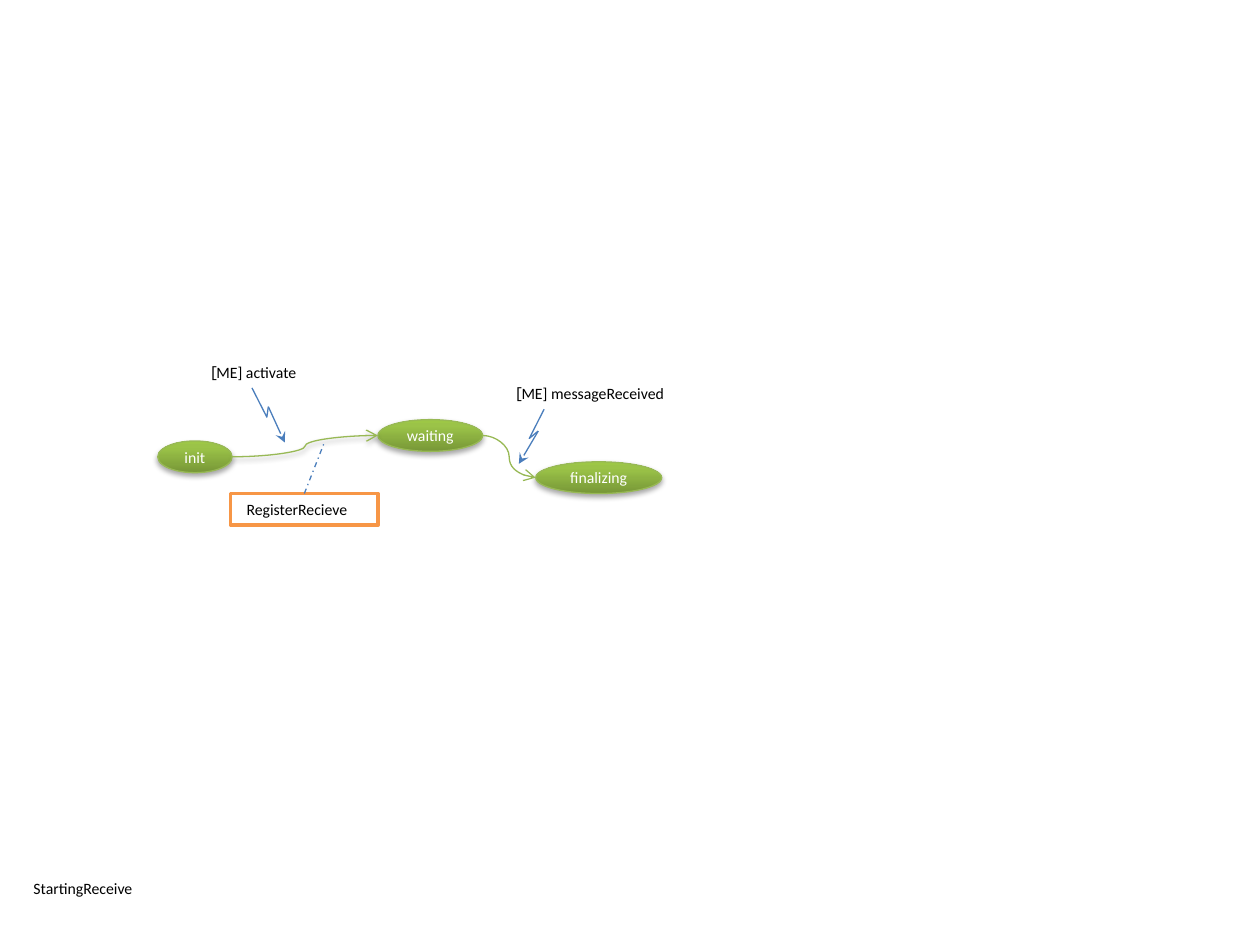
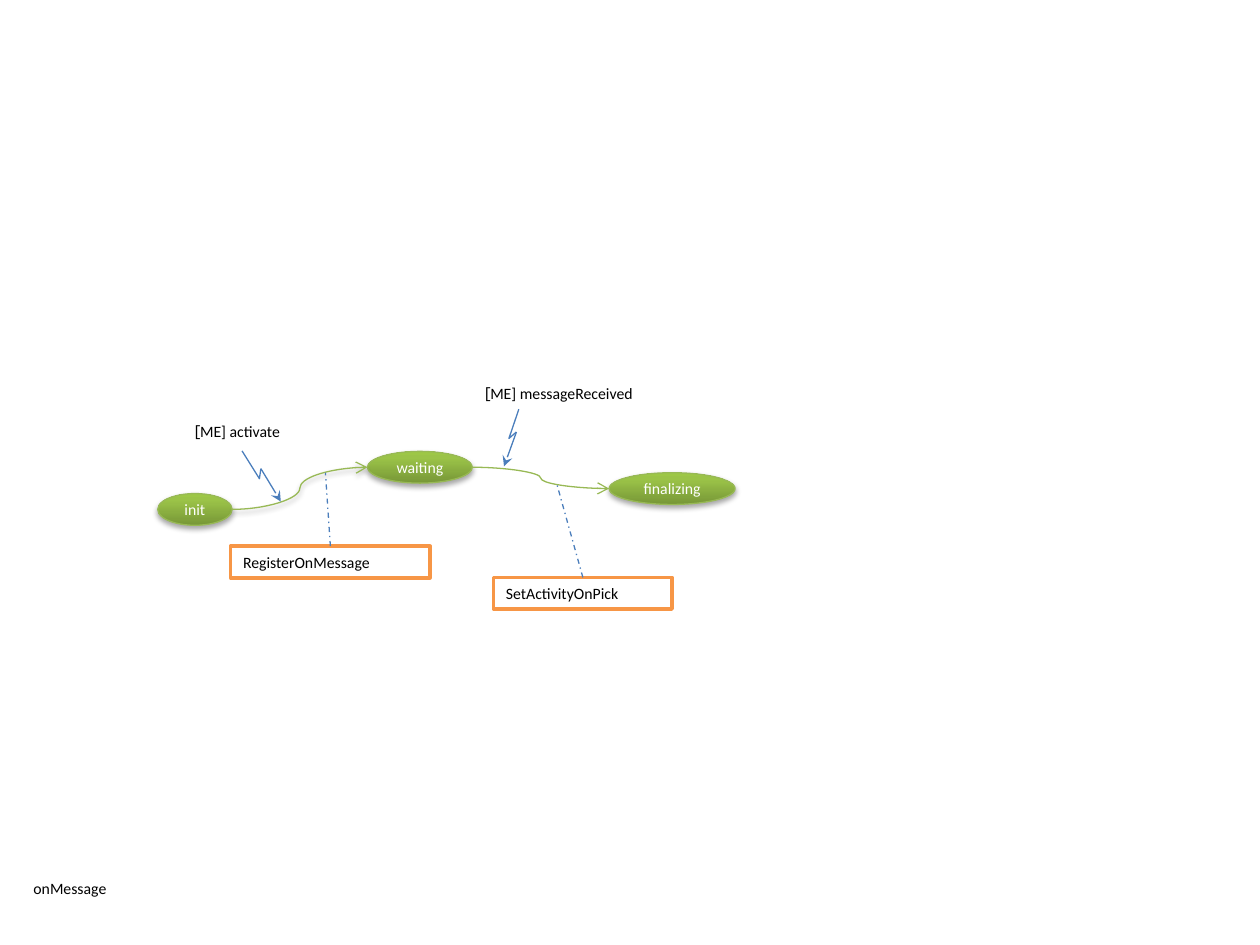
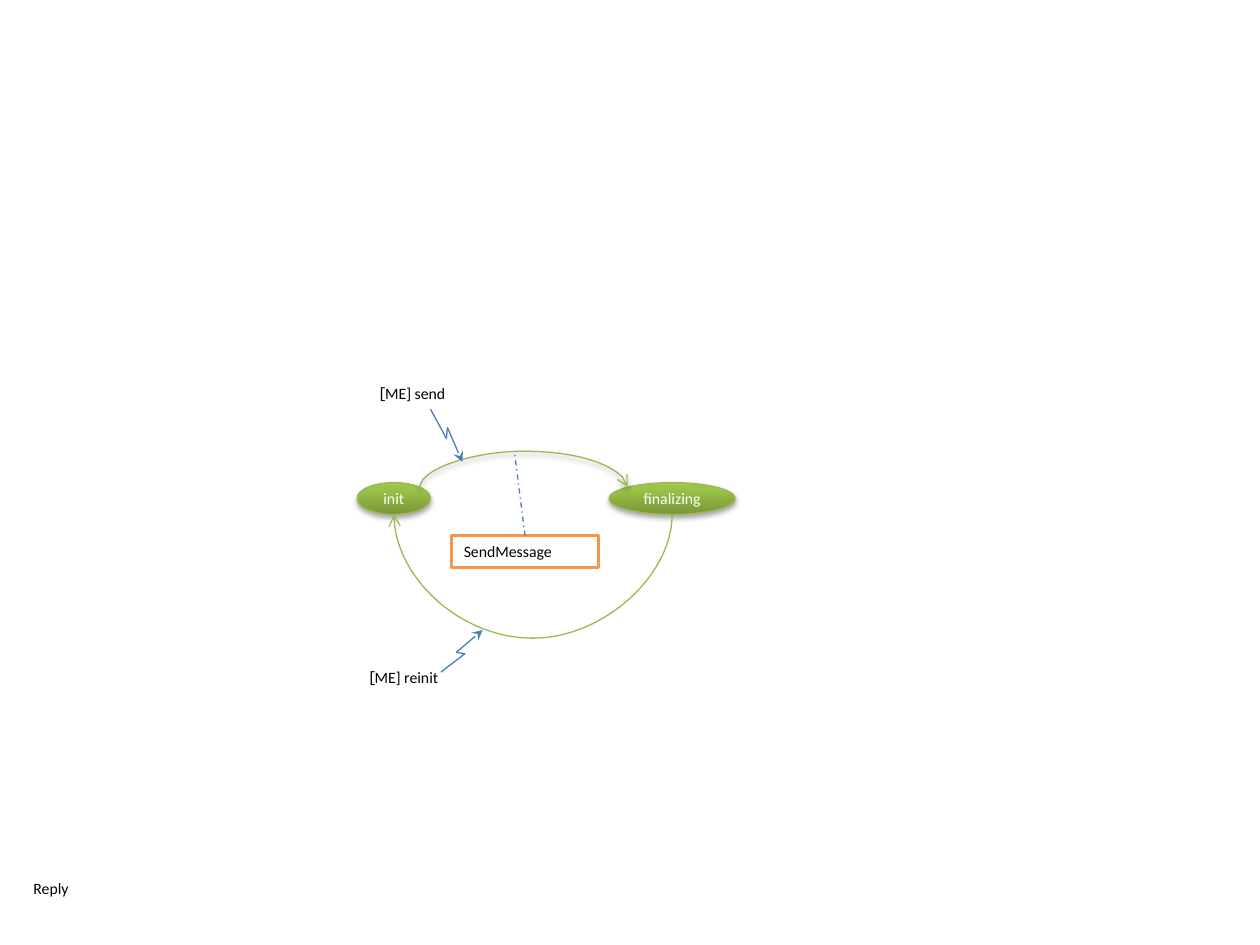
from dataclasses import dataclass
from math import cos, radians, sin

from lxml.etree import SubElement
from pptx import Presentation
from pptx.dml.color import RGBColor as RGB
from pptx.enum.dml import MSO_LINE as DASH
from pptx.enum.shapes import MSO_CONNECTOR as CONN, MSO_SHAPE as SHAPE
from pptx.enum.text import MSO_ANCHOR as ANCHOR, MSO_AUTO_SIZE as AUTO, PP_ALIGN as ALIGN
from pptx.oxml.ns import qn
from pptx.util import Cm, Pt


@dataclass(frozen=True)
class Theme:
    gradient: tuple = ((0, "779737"), (80, "9BC348"), (100, "9DC746"))
    green: RGB = RGB.from_string("98B955")
    blue: RGB = RGB.from_string("4B7EBC")
    orange: RGB = RGB.from_string("F79646")
    white: RGB = RGB.from_string("FFFFFF")
    black: RGB = RGB.from_string("000000")
    font: str = "Calibri"
    bracket_font: str = "Cabin"
    size: Pt = Pt(9)
    thin: Pt = Pt(0.75)
    thick: Pt = Pt(2)
    row: float = 0.64
    hair: float = 0.01


T = Theme()
TOP, TOP_LEFT, LEFT, BOTTOM, RIGHT, TOP_RIGHT = 0, 1, 2, 4, 6, 7

SLIDES = [
    dict(
        name="StartingReceive",
        states=[("init", 3.18, 8.89, 1.5), ("waiting", 7.62, 8.46, 2.11),
                ("finalizing", 10.8, 9.31, 2.54)],
        transitions=[("init", RIGHT, "waiting", LEFT, 0),
                     ("waiting", RIGHT, "finalizing", LEFT, 0)],
        events=[
            ("messageReceived", 10.16, 7.62, 3.76,
             [(10.97, 8.25), (10.67, 8.84), (10.85, 8.69), (10.46, 9.35)]),
            ("activate", 4.01, 7.19, 3.76,
             [(5.08, 7.82), (5.38, 8.41), (5.41, 8.2), (5.74, 8.92)]),
        ],
        actions=[(" RegisterRecieve", 4.65, 9.95, 2.97, (6.55, 8.89))],
    ),
    dict(
        name="onMessage",
        states=[("init", 3.18, 9.95, 1.5), ("waiting", 7.41, 9.1, 2.11),
                ("finalizing", 12.28, 9.53, 2.54)],
        transitions=[("init", RIGHT, "waiting", LEFT, 0),
                     ("waiting", RIGHT, "finalizing", LEFT, 0)],
        events=[
            ("messageReceived", 9.53, 7.62, 3.76,
             [(10.46, 8.25), (10.26, 8.84), (10.41, 8.71), (10.16, 9.4)]),
            ("activate", 3.68, 8.38, 3.76,
             [(4.88, 9.09), (5.23, 9.65), (5.26, 9.45), (5.66, 10.11)]),
        ],
        actions=[("RegisterOnMessage", 4.65, 11.01, 4.02, (6.56, 9.53)),
                 ("SetActivityOnPick", 9.95, 11.64, 3.6, (11.22, 9.74))],
    ),
    dict(
        name="Reply",
        states=[("init", 7.2, 9.73, 1.48), ("finalizing", 12.28, 9.73, 2.54)],
        transitions=[("init", TOP_RIGHT, "finalizing", TOP_LEFT, 0.73),
                     ("finalizing", BOTTOM, "init", BOTTOM, 2.5)],
        events=[
            ("send", 7.41, 7.62, 3.76,
             [(8.68, 8.25), (9, 8.84), (9.02, 8.62), (9.32, 9.31)]),
            ("reinit", 7.2, 13.34, 2.11,
             [(8.89, 13.55), (9.37, 13.18), (9.2, 13.15), (9.73, 12.7)]),
        ],
        actions=[("SendMessage", 9.1, 10.8, 2.97, (10.37, 9.1))],
    ),
]


def add_xml(parent, tag, **attrs):
    return SubElement(parent, qn(tag), {k: str(v) for k, v in attrs.items()})


def add_line(shapes, kind, begin, end, color, arrow=None, dash=None):
    c = shapes.add_connector(kind, *(Cm(v) for v in (*begin, *end)))
    c.line.color.rgb = color
    c.line.width = T.thin
    if dash:
        c.line.dash_style = dash
    if arrow:
        add_xml(c.line._get_or_add_ln(), "a:tailEnd", type=arrow)
    add_xml(c._element.spPr, "a:effectLst")
    return c


prs = Presentation()
prs.slide_width, prs.slide_height = Cm(25.4), Cm(19.05)

for data in SLIDES:
    s = prs.slides.add_slide(prs.slide_layouts[5])
    title = s.shapes.title
    title.left, title.top, title.width, title.height = Cm(0.42), Cm(17.58), Cm(2.54), Cm(T.row)
    title.text_frame.text = data["name"]
    title.text_frame.word_wrap = False
    plain = [title]
    shadowed = []

    states = {}
    for name, x, y, w in data["states"]:
        sp = s.shapes.add_shape(SHAPE.OVAL, Cm(x), Cm(y), Cm(w), Cm(T.row))
        sp.shadow.inherit = False
        sp.fill.gradient()
        sp.fill.gradient_angle = 90
        stops = sp._element.spPr.find(qn("a:gradFill")).find(qn("a:gsLst"))
        for gs in list(stops):
            stops.remove(gs)
        for pos, color in T.gradient:
            add_xml(add_xml(stops, "a:gs", pos=pos * 1000), "a:srgbClr", val=color)
        sp.line.color.rgb = T.green
        sp.line.width = T.thin
        tf = sp.text_frame
        tf.text = name
        tf.word_wrap = False
        tf.vertical_anchor = ANCHOR.MIDDLE
        tf.paragraphs[0].alignment = ALIGN.CENTER
        states[name] = (sp, x + w / 2, y + T.row / 2, w / 2)
        shadowed.append(sp)

    for i, (source, site1, target, site2, depth) in enumerate(data["transitions"]):
        ends = []
        for name, site in ((source, site1), (target, site2)):
            sp, cx, cy, half = states[name]
            angle = radians(45 * site)
            ends.append((cx - half * sin(angle), cy - T.row / 2 * cos(angle)))
        (x1, y1), (x2, y2) = ends
        if depth:
            mid, half = (x1 + x2) / 2, (x1 - x2) / 2
            offset = T.hair / 2 if half > 0 else -T.hair / 2
            ends = [(mid - offset, y1 - half), (mid + offset, y1 + half)]
        c = add_line(s.shapes, CONN.CURVE, *ends, T.green, "arrow")
        spPr = c._element.spPr
        if depth:
            spPr.find(qn("a:xfrm")).set("rot", "5400000")
            guides = spPr.find(qn("a:prstGeom")).find(qn("a:avLst"))
            add_xml(guides, "a:gd", name="adj1", fmla=f"val {round(depth / T.hair * 100000)}")
        links = c._element.nvCxnSpPr.cNvCxnSpPr
        add_xml(links, "a:stCxn", id=states[source][0].shape_id, idx=site1)
        add_xml(links, "a:endCxn", id=states[target][0].shape_id, idx=site2)
        if i == 0:
            shadowed.append(c)

    for sp in shadowed:
        effects = sp._element.spPr.find(qn("a:effectLst"))
        shadow = add_xml(effects, "a:outerShdw", blurRad=Pt(3.1), dist=Pt(1.8),
                         dir=5400000, rotWithShape=0)
        add_xml(add_xml(shadow, "a:srgbClr", val=T.black), "a:alpha", val=35000)

    for event, x, y, w, bolt in data["events"]:
        sp = s.shapes.add_textbox(Cm(x), Cm(y), Cm(w), Cm(T.row))
        sp.text_frame.word_wrap = True
        p = sp.text_frame.paragraphs[0]
        for text in ("[", f"ME] {event}"):
            p.add_run().text = text
        plain.append(sp)

        group = s.shapes.add_group_shape()
        points = [(Cm(px), Cm(py)) for px, py in bolt[:3]]
        fb = group.shapes.build_freeform(*points[0])
        fb.add_line_segments(points[1:], close=False)
        zigzag = fb.convert_to_shape()
        zigzag.shadow.inherit = False
        zigzag.fill.background()
        zigzag.line.color.rgb = T.blue
        zigzag.line.width = T.thin
        add_line(group.shapes, CONN.STRAIGHT, bolt[2], bolt[3], T.blue, "stealth")

    for action, x, y, w, tip in data["actions"]:
        sp = s.shapes.add_shape(SHAPE.RECTANGLE, Cm(x), Cm(y), Cm(w), Cm(T.row))
        sp.shadow.inherit = False
        sp.fill.solid()
        sp.fill.fore_color.rgb = T.white
        sp.line.color.rgb = T.orange
        sp.line.width = T.thick
        sp.text_frame.text = action
        sp.text_frame.word_wrap = True
        plain.append(sp)
        add_line(s.shapes, CONN.STRAIGHT, (x + w / 2, y), tip, T.blue, dash=DASH.DASH_DOT)

    for sp in plain:
        sp.text_frame.auto_size = AUTO.SHAPE_TO_FIT_TEXT
        sp.text_frame.vertical_anchor = ANCHOR.TOP
        sp.text_frame.paragraphs[0].alignment = ALIGN.LEFT

    ovals = [state[0] for state in states.values()]
    for sp in plain + ovals:
        for r in sp.text_frame.paragraphs[0].runs:
            r.font.size = T.size
            r.font.name = T.bracket_font if r.text == "[" else T.font
            r.font.color.rgb = T.white if sp in ovals else T.black

prs.save("out.pptx")
